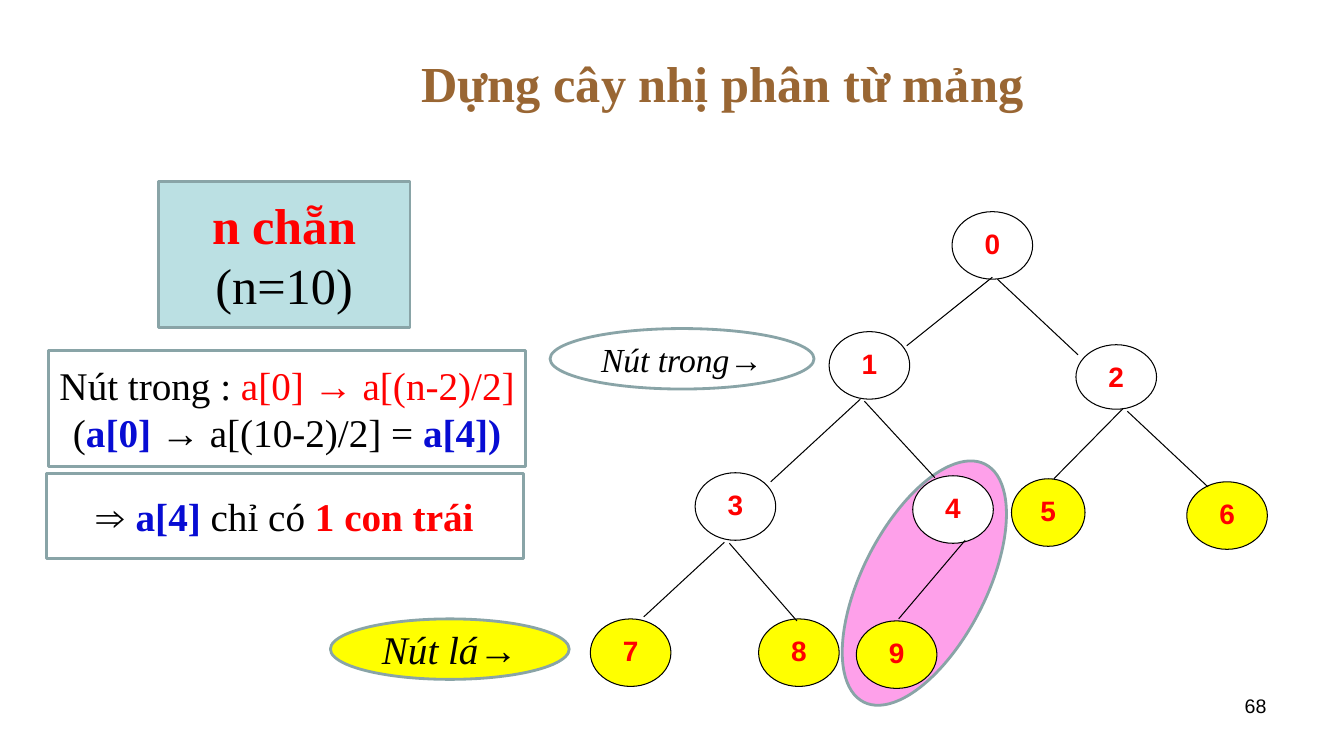
from dataclasses import dataclass

from lxml import etree
from pptx import Presentation
from pptx.dml.color import RGBColor
from pptx.enum.shapes import MSO_CONNECTOR, MSO_SHAPE
from pptx.enum.text import MSO_ANCHOR, PP_ALIGN
from pptx.oxml.ns import qn
from pptx.util import Inches, Pt

RECT, OVAL = MSO_SHAPE.RECTANGLE, MSO_SHAPE.OVAL
STRAIGHT = MSO_CONNECTOR.STRAIGHT
TOP, MIDDLE = MSO_ANCHOR.TOP, MSO_ANCHOR.MIDDLE
CENTER, RIGHT = PP_ALIGN.CENTER, PP_ALIGN.RIGHT


@dataclass(frozen=True)
class Theme:
    black: str = "000000"
    white: str = "FFFFFF"
    red: str = "FF0000"
    blue: str = "070CD3"
    brown: str = "996633"
    yellow: str = "FFFF00"
    pink: str = "FEA0EA"
    pale_blue: str = "BBE0E3"
    outline: str = "89A4A7"
    serif: str = "Times New Roman"
    sans: str = "Arial"
    title: int = 36
    body: int = 28
    label: int = 24
    node: int = 20
    number: int = 14
    thick: float = 2
    thin: float = 0.75


T = Theme()


@dataclass(frozen=True)
class Span:
    text: str
    color: str = T.black
    bold: bool = False
    font: str = T.serif


@dataclass(frozen=True)
class Panel:
    shape: MSO_SHAPE
    box: tuple[float, float, float, float]
    fill: str | None
    size: int
    lines: tuple[tuple[Span, ...], ...] = ()
    italic: bool = False
    rotation: float = 0


@dataclass(frozen=True)
class Node:
    x: float
    y: float
    leaf: bool = False
    width: float = 0.8
    height: float = 0.67


@dataclass(frozen=True)
class Edge:
    start: tuple[float, float]
    end: tuple[float, float]


ARROW = Span("→", font=T.sans)

HIGHLIGHT = Panel(OVAL, (8.56, 4.46, 1.23, 2.65), T.pink, T.body, rotation=27.1)
PANELS = (
    Panel(RECT, (1.57, 1.8, 2.5, 1.45), T.pale_blue, T.title,
          ((Span("n chẵn", T.red, True),), (Span("(n=10)"),))),
    Panel(RECT, (0.48, 3.48, 4.74, 1.15), None, T.body,
          ((Span("Nút trong : "), Span("a[0] ", T.red),
            Span("→", T.red, font=T.sans), Span(" a[(n-2)/2]", T.red)),
           (Span("("), Span("a[0] ", T.blue, True), ARROW,
            Span(" a[(10-2)/2] = "), Span("a[4])", T.blue, True)))),
    Panel(RECT, (0.46, 4.7, 4.74, 0.84), None, T.body,
          ((Span("⇒ ", font=T.sans), Span("a[4] ", T.blue, True),
            Span("chỉ có "), Span("1 con trái", T.red, True)),)),
    Panel(OVAL, (3.28, 6.14, 2.37, 0.6), T.yellow, T.body,
          ((Span("Nút lá"), ARROW),), italic=True),
    Panel(OVAL, (5.46, 3.26, 2.62, 0.6), T.white, T.label,
          ((Span("Nút trong"), ARROW),), italic=True),
)

# Listed in array order: the position in the tuple is the node's label.
NODES = (
    Node(9.45, 2.1),
    Node(8.23, 3.29),
    Node(10.68, 3.42, height=0.64),
    Node(6.9, 4.69),
    Node(9.06, 4.72),
    Node(10.04, 4.75, leaf=True, width=0.73),
    Node(11.78, 4.78, leaf=True),
    Node(5.86, 6.14, leaf=True),
    Node(7.53, 6.14, leaf=True),
    Node(8.5, 6.16, leaf=True),
)
EDGES = (
    Edge((9.85, 2.75), (9, 3.43)),
    Edge((9.9, 2.77), (10.7, 3.52)),
    Edge((8.54, 3.96), (7.65, 4.78)),
    Edge((8.58, 3.98), (9.28, 4.74)),
    Edge((11.15, 4.05), (10.46, 4.75)),
    Edge((11.19, 4.08), (11.99, 4.83)),
    Edge((7.19, 5.38), (6.39, 6.12)),
    Edge((7.24, 5.39), (7.91, 6.16)),
    Edge((9.58, 5.36), (8.92, 6.14)),
)


def rgb(color: str) -> RGBColor:
    return RGBColor.from_string(color)


def add_outlined(s, shape, box, fill: str | None, line: str, width: float):
    sp = s.shapes.add_shape(shape, *map(Inches, box))
    sp.shadow.inherit = False
    if fill:
        sp.fill.solid()
        sp.fill.fore_color.rgb = rgb(fill)
    else:
        sp.fill.background()
    sp.line.color.rgb = rgb(line)
    sp.line.width = Pt(width)
    return sp


def add_panel(s, panel: Panel) -> None:
    sp = add_outlined(s, panel.shape, panel.box, panel.fill, T.outline, T.thick)
    sp.rotation = panel.rotation
    tf = sp.text_frame
    tf.word_wrap = False
    tf.vertical_anchor = MIDDLE
    for i, line in enumerate(panel.lines):
        p = tf.add_paragraph() if i else tf.paragraphs[0]
        p.alignment = CENTER
        p.font.size = Pt(panel.size)
        p.font.italic = panel.italic
        for span in line:
            r = p.add_run()
            r.text = span.text
            r.font.name = span.font
            r.font.bold = span.bold
            r.font.color.rgb = rgb(span.color)


def write_line(tf, text: str, size: int, font: str, color: str, bold: bool,
               align: PP_ALIGN, anchor: MSO_ANCHOR) -> None:
    """Fill a text frame with one uniformly formatted paragraph."""
    tf.word_wrap = True
    tf.vertical_anchor = anchor
    p = tf.paragraphs[0]
    p.text = text
    p.alignment = align
    p.font.size = Pt(size)
    p.font.name = font
    p.font.bold = bold
    p.font.color.rgb = rgb(color)


def add_node(s, label: int, node: Node) -> None:
    sp = add_outlined(s, OVAL, (node.x, node.y, node.width, node.height),
                      T.yellow if node.leaf else T.white, T.black, T.thin)
    write_line(sp.text_frame, str(label), T.node, T.sans, T.red, True, CENTER, TOP)


def add_edge(s, edge: Edge) -> None:
    line = s.shapes.add_connector(STRAIGHT, *map(Inches, edge.start + edge.end))
    line.line.color.rgb = rgb(T.black)
    line.line.width = Pt(T.thin)
    etree.SubElement(line._element.spPr, qn("a:effectLst"))


def main() -> None:
    prs = Presentation()
    prs.slide_width, prs.slide_height = Inches(13.34), Inches(7.5)
    s = prs.slides.add_slide(prs.slide_layouts[6])

    add_panel(s, HIGHLIGHT)
    number = s.shapes.add_textbox(*map(Inches, (9.56, 6.83, 3.11, 0.52)))
    write_line(number.text_frame, "68", T.number, T.sans, T.black, False, RIGHT, TOP)
    for panel in PANELS:
        add_panel(s, panel)
    for label, node in enumerate(NODES):
        add_node(s, label, node)
    for edge in EDGES:
        add_edge(s, edge)
    title = s.shapes.add_textbox(*map(Inches, (1.67, 0.3, 11, 1.03)))
    write_line(title.text_frame, "Dựng cây nhị phân từ mảng", T.title, T.serif,
               T.brown, True, CENTER, MIDDLE)

    prs.save("out.pptx")


if __name__ == "__main__":
    main()
